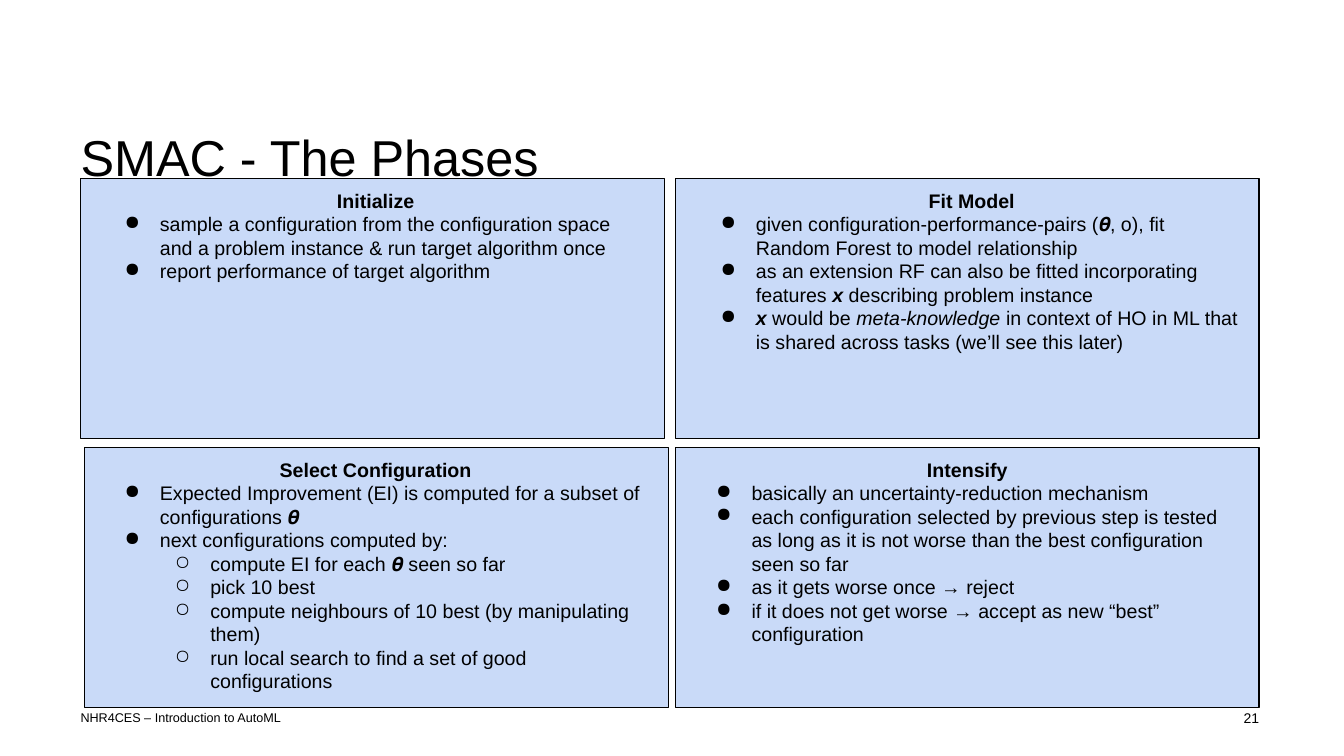
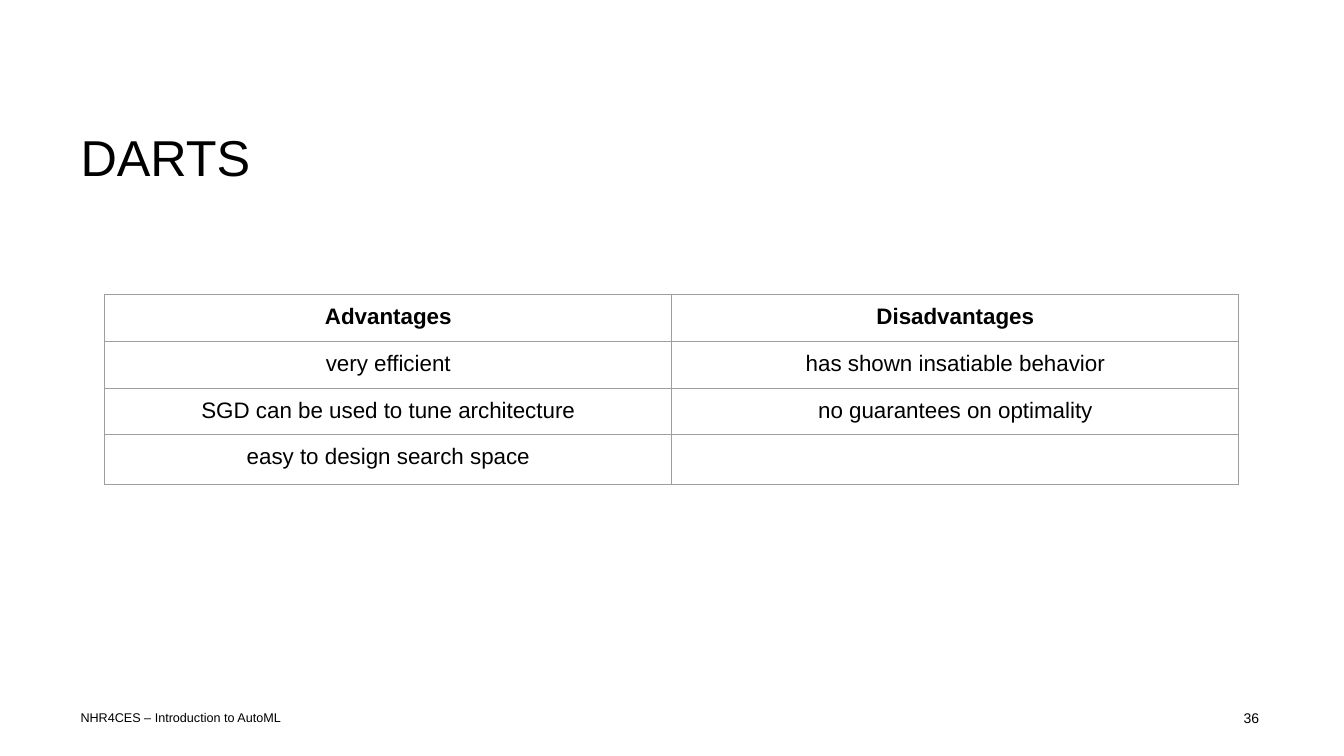
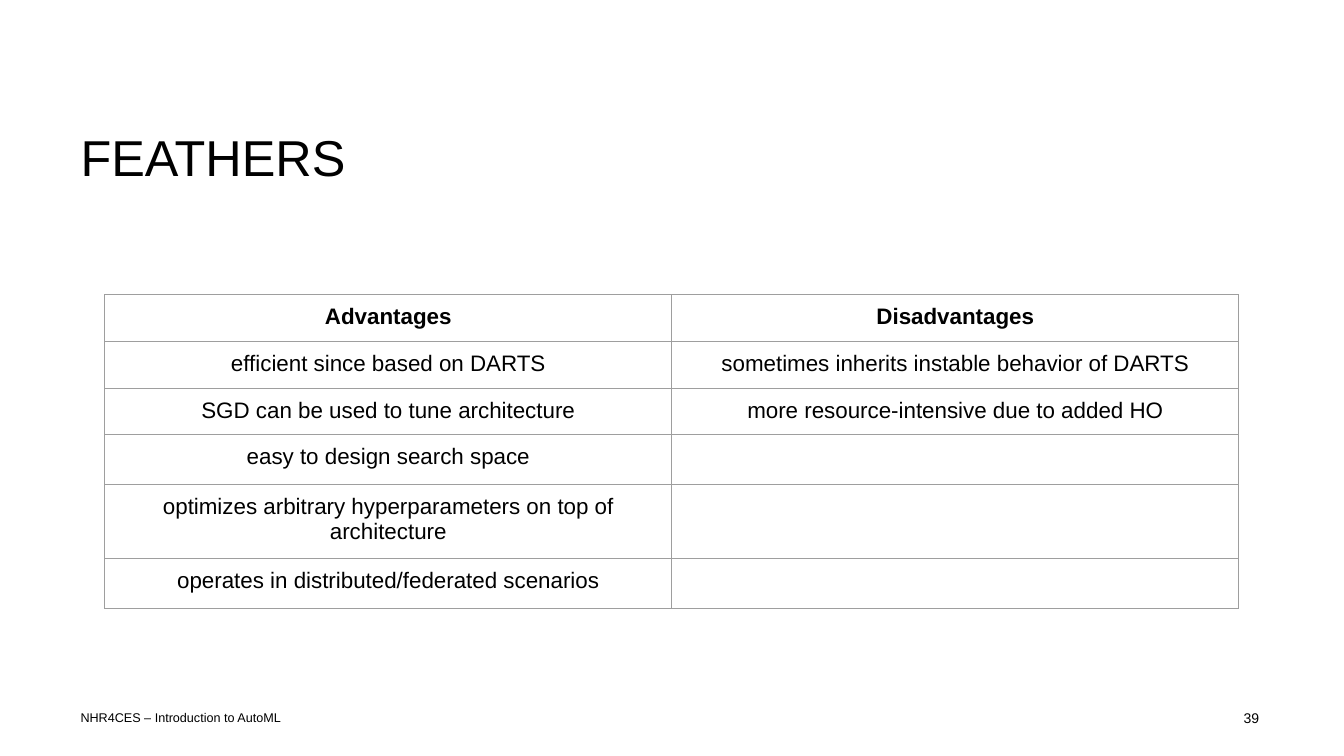
from lxml import etree
from pptx import Presentation
from pptx.dml.color import RGBColor
from pptx.enum.shapes import MSO_SHAPE
from pptx.enum.text import MSO_ANCHOR, MSO_AUTO_SIZE, PP_ALIGN
from pptx.oxml.ns import qn
from pptx.util import Cm, Pt

RECTANGLE = MSO_SHAPE.RECTANGLE
TOP = MSO_ANCHOR.TOP
GROW = MSO_AUTO_SIZE.SHAPE_TO_FIT_TEXT
FIXED = MSO_AUTO_SIZE.NONE
LEFT, CENTER, RIGHT = PP_ALIGN.LEFT, PP_ALIGN.CENTER, PP_ALIGN.RIGHT

# Shared style
FONT = "Arial"
BLACK = "000000"
PANEL_BLUE = "C9DAF8"
BORDER_GREY = "9E9E9E"
FOOTER = "NHR4CES – Introduction to AutoML"
MARGIN = 2.03
FOOTER_TOP = 17.78
FOOTER_INSETS = (0, 0.1, 0.1, 0)
PADDING = (0.25, 0.25, 0.25, 0.25)

# Panels and tables
PANEL_WIDTH, PANEL_HEIGHT = 14.71, 6.55
PANEL_TEXT_WIDTH = 13.92
PANEL_SIZE, TABLE_SIZE, EMPTY_CELL_SIZE = 14, 16, 18
BULLETS = ("●", "○")
INDENT, HANGING = 1.27, 0.89
COLUMN_WIDTH, ROW_HEIGHT = 14.29, 1.07

# Panel: left, top, text left, text height, heading, items.
# Item: level, then runs as (text, style), where b is bold and i is italic.
PANELS = [
    (2.03, 4.5, 2.51, 2.9, "Initialize", [
        (0, [("sample a configuration from the configuration space and a problem "
              "instance & run target algorithm once", "")]),
        (0, [("report performance of target algorithm", "")]),
    ]),
    (2.13, 11.28, 2.51, 6.5, "Select Configuration", [
        (0, [("Expected Improvement (EI) is computed for a subset of "
              "configurations 𝜽", "")]),
        (0, [("next configurations computed by:", "")]),
        (1, [("compute EI for each 𝜽 seen so far", "")]),
        (1, [("pick 10 best", "")]),
        (1, [("compute neighbours of 10 best (by manipulating them)", "")]),
        (1, [("run local search to find a set of good configurations", "")]),
    ]),
    (17.02, 4.5, 17.53, 4.7, "Fit Model", [
        (0, [("given configuration-performance-pairs (𝜽, o), fit Random Forest "
              "to model relationship", "")]),
        (0, [("as an extension RF can also be fitted incorporating features ", ""),
             ("x", "bi"), (" describing problem instance", "")]),
        (0, [("x", "bi"), (" would be ", ""), ("meta-knowledge", "i"),
             (" in context of HO in ML that is shared across tasks "
              "(we’ll see this later)", "")]),
    ]),
    (17.02, 11.28, 17.42, 5.31, "Intensify", [
        (0, [("basically an uncertainty-reduction mechanism", "")]),
        (0, [("each configuration selected by previous step is tested as long as "
              "it is not worse than the best configuration seen so far", "")]),
        (0, [("as it gets worse once → reject", "")]),
        (0, [("if it does not get worse → accept as new “best” configuration", "")]),
    ]),
]

HEADER = ("Advantages", "Disadvantages")
DARTS_ROWS = [
    HEADER,
    ("very efficient", "has shown insatiable behavior"),
    ("SGD can be used to tune architecture", "no guarantees on optimality"),
    ("easy to design search space", ""),
]
FEATHERS_ROWS = [
    HEADER,
    ("efficient since based on DARTS", "sometimes inherits instable behavior of DARTS"),
    ("SGD can be used to tune architecture", "more resource-intensive due to added HO"),
    ("easy to design search space", ""),
    ("optimizes arbitrary hyperparameters on top of architecture", ""),
    ("operates in distributed/federated scenarios", ""),
]


def color(value):
    return RGBColor.from_string(value)


def add_run(paragraph, text, size, style=""):
    run = paragraph.add_run()
    run.text = text
    run.font.name = FONT
    run.font.size = Pt(size)
    run.font.bold = "b" in style
    run.font.italic = "i" in style
    run.font.color.rgb = color(BLACK)


def add_text_box(slide, left, top, width, height, insets, auto_size=FIXED):
    box = slide.shapes.add_textbox(Cm(left), Cm(top), Cm(width), Cm(height))
    frame = box.text_frame
    frame.word_wrap = True
    frame.auto_size = auto_size
    frame.vertical_anchor = TOP
    (frame.margin_left, frame.margin_top,
     frame.margin_right, frame.margin_bottom) = map(Cm, insets)
    return frame


def add_line(slide, place, insets, text, size, align=LEFT, auto_size=FIXED):
    """Add a text box with a single paragraph and return the paragraph."""
    paragraph = add_text_box(slide, *place, insets, auto_size).paragraphs[0]
    paragraph.alignment = align
    add_run(paragraph, text, size)
    return paragraph


def add_content_slide(presentation, title, number):
    """Add a slide with the shared title, footer and slide number."""
    slide = presentation.slides.add_slide(presentation.slide_layouts[6])
    add_line(slide, (MARGIN, FOOTER_TOP, 8.76, 0.48), FOOTER_INSETS, FOOTER, 9,
             auto_size=GROW)
    add_line(slide, (30.76, FOOTER_TOP, 1.07, 0.71), FOOTER_INSETS, str(number), 10,
             RIGHT)
    heading = add_line(slide, (MARGIN, 2.92, 29.79, 2.74), (0, 0, 0.51, 0), title, 36)
    heading.line_spacing = 1.17
    heading.space_after = Pt(12)
    return slide


def set_bullet(paragraph, level):
    paragraph.level = level
    properties = paragraph._p.get_or_add_pPr()
    properties.set("marL", str(Cm(INDENT * (level + 1))))
    properties.set("indent", str(-Cm(HANGING)))
    bullet_color = etree.SubElement(properties, qn("a:buClr"))
    etree.SubElement(bullet_color, qn("a:srgbClr"), val=BLACK)
    etree.SubElement(properties, qn("a:buChar"), char=BULLETS[level])


def add_panel(slide, left, top):
    panel = slide.shapes.add_shape(
        RECTANGLE, Cm(left), Cm(top), Cm(PANEL_WIDTH), Cm(PANEL_HEIGHT))
    panel.shadow.inherit = False
    panel.fill.solid()
    panel.fill.fore_color.rgb = color(PANEL_BLUE)
    panel.line.color.rgb = color(BLACK)
    panel.line.width = Pt(0.75)


def add_panel_text(slide, left, top, height, heading, items):
    frame = add_text_box(slide, left, top, PANEL_TEXT_WIDTH, height, PADDING, GROW)
    paragraph = frame.paragraphs[0]
    paragraph.alignment = CENTER
    add_run(paragraph, heading, PANEL_SIZE, "b")
    for level, runs in items:
        paragraph = frame.add_paragraph()
        set_bullet(paragraph, level)
        for text, style in runs:
            add_run(paragraph, text, PANEL_SIZE, style)


def set_borders(cell):
    properties = cell._tc.get_or_add_tcPr()
    for side in ("lnL", "lnR", "lnT", "lnB"):
        border = etree.SubElement(properties, qn(f"a:{side}"), w=str(Pt(0.75)))
        fill = etree.SubElement(border, qn("a:solidFill"))
        etree.SubElement(fill, qn("a:srgbClr"), val=BORDER_GREY)


def fill_cell(cell, text, style):
    set_borders(cell)
    cell.fill.background()
    (cell.margin_left, cell.margin_top,
     cell.margin_right, cell.margin_bottom) = map(Cm, PADDING)
    cell.vertical_anchor = TOP
    paragraph = cell.text_frame.paragraphs[0]
    paragraph.alignment = CENTER
    if text:
        add_run(paragraph, text, TABLE_SIZE, style)
    else:
        # An empty cell takes its line height from the paragraph end mark
        end = etree.SubElement(paragraph._p, qn("a:endParaRPr"),
                               sz=str(EMPTY_CELL_SIZE * 100))
        etree.SubElement(end, qn("a:latin"), typeface=FONT)


def add_comparison_table(slide, rows):
    columns = len(HEADER)
    table = slide.shapes.add_table(
        len(rows), columns, Cm(2.64), Cm(7.42),
        Cm(COLUMN_WIDTH * columns), Cm(ROW_HEIGHT * len(rows))).table
    table.first_row = False
    table.horz_banding = False
    for row_index, texts in enumerate(rows):
        for column_index, text in enumerate(texts):
            fill_cell(table.cell(row_index, column_index), text,
                      "b" if row_index == 0 else "")


def main():
    presentation = Presentation()
    presentation.slide_width = Cm(33.87)
    presentation.slide_height = Cm(19.05)

    # Four phases
    slide = add_content_slide(presentation, "SMAC - The Phases", 21)
    for left, top, text_left, text_height, heading, items in PANELS:
        add_panel(slide, left, top)
        add_panel_text(slide, text_left, top, text_height, heading, items)

    # Comparison tables
    for title, number, rows in (("DARTS", 36, DARTS_ROWS),
                                ("FEATHERS", 39, FEATHERS_ROWS)):
        slide = add_content_slide(presentation, title, number)
        add_comparison_table(slide, rows)

    presentation.save("out.pptx")


if __name__ == "__main__":
    main()
